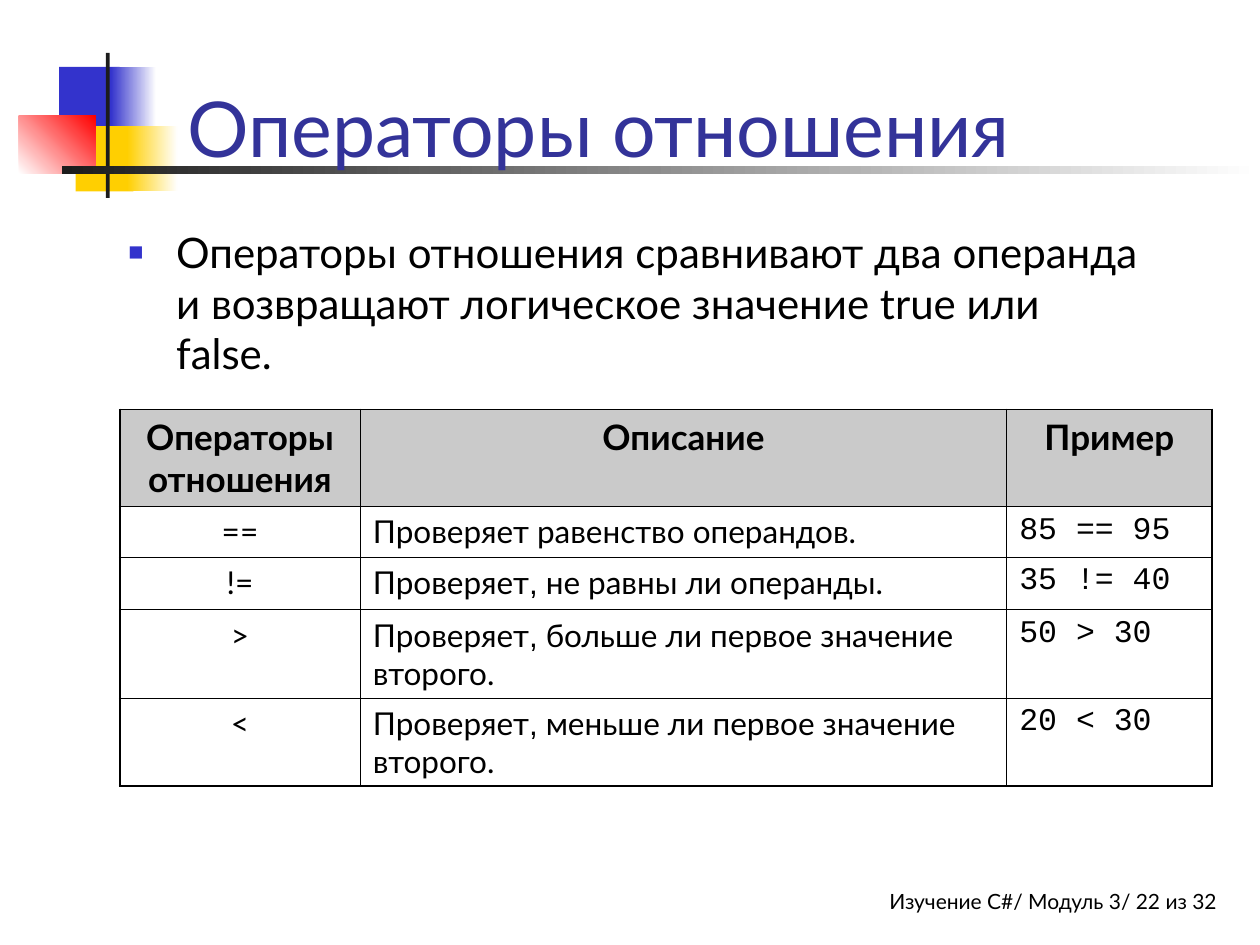
from lxml import etree
from pptx import Presentation
from pptx import util as u
from pptx.dml.color import RGBColor
from pptx.enum import shapes, text
from pptx.oxml import parse_xml
from pptx.oxml.ns import nsdecls, qn

COLORS = {
    "blue": "3333CC", "yellow": "FFCF01", "red": "FF0000", "dark": "1C1C1C",
    "white": "FFFFFF", "title": "333399", "black": "000000", "header": "969696",
}
ALIGN = text.PP_ALIGN

presentation = Presentation()
presentation.slide_width, presentation.slide_height = u.Inches(10), u.Inches(7.5)
slide = presentation.slides.add_slide(presentation.slide_layouts[6])
COLUMN = presentation.slide_width // 1000
ROW = presentation.slide_height // 750


def grid_box(left, top, width, height):
    """Turn columns and rows of the slide grid into a position and size."""
    return left * COLUMN, top * ROW, width * COLUMN, height * ROW


def add_run(paragraph, content, size, color="black", name="Lato", bold=False):
    run = paragraph.add_run()
    run.text = content
    for key, value in {"size": u.Pt(size), "name": name, "bold": bold}.items():
        setattr(run.font, key, value)
    run.font.color.rgb = RGBColor.from_string(COLORS[color])


# Decoration: box, start colour, end colour, gradient angle
decoration = [
    ((47, 53, 48, 52), "blue", "blue", 0),
    ((88, 53, 36, 52), "blue", "white", 0),
    ((60, 100, 46, 52), "yellow", "yellow", 0),
    ((101, 100, 40, 52), "yellow", "white", 0),
    ((15, 92, 61, 46), "white", "red", 45),
    ((84, 42, 3, 115), "dark", "dark", 0),
    ((49, 132, 951, 6), "dark", "white", 0),
]
for box, start, end, angle in decoration:
    shape = slide.shapes.add_shape(shapes.MSO_SHAPE.RECTANGLE, *grid_box(*box))
    shape.shadow.inherit = False
    shape.line.fill.background()
    if start == end:
        shape.fill.solid()
        shape.fill.fore_color.rgb = RGBColor.from_string(COLORS[start])
    else:
        shape.fill.gradient()
        shape.fill.gradient_angle = angle
        for stop, color in zip(shape.fill.gradient_stops, (start, end)):
            stop.color.rgb = RGBColor.from_string(COLORS[color])

# Title, body and footer: box, wording, size, colour, frame format, alignment
text_boxes = [
    ((139, 17, 852, 125), "Операторы отношения", 44, "title",
     {"vertical_anchor": text.MSO_ANCHOR.BOTTOM}, ALIGN.LEFT),
    ((92, 175, 825, 508),
     "Операторы отношения сравнивают два операнда и возвращают "
     "логическое значение true или false.", 24, "black", {}, ALIGN.LEFT),
    ((458, 700, 508, 33), "Изучение C#/ Модуль 3/ 22 из 32", 12, "black",
     {"margin_right": 0}, ALIGN.RIGHT),
]
paragraphs = []
for box, content, size, color, frame_format, alignment in text_boxes:
    frame = slide.shapes.add_textbox(*grid_box(*box)).text_frame
    for key, value in {"word_wrap": True, **frame_format}.items():
        setattr(frame, key, value)
    paragraph = frame.paragraphs[0]
    paragraph.alignment = alignment
    add_run(paragraph, content, size, color)
    paragraphs.append(paragraph)

# Square bullet with a hanging indent on the body paragraph
body_properties = paragraphs[1]._p.get_or_add_pPr()
body_properties.set("marL", str(38 * COLUMN))
body_properties.set("indent", str(-38 * COLUMN))
for bullet in (
    f'<a:buClr {nsdecls("a")}><a:srgbClr val="{COLORS["blue"]}"/></a:buClr>',
    f'<a:buSzPct {nsdecls("a")} val="60000"/>',
    f'<a:buFont {nsdecls("a")} typeface="Arial"/>',
    f'<a:buChar {nsdecls("a")} char="■"/>',
):
    body_properties.append(parse_xml(bullet))

# Table of relational operators
rows = [
    ("Операторы отношения", "Описание", "Пример"),
    ("==", "Проверяет равенство операндов.", "85 == 95"),
    ("!=", "Проверяет, не равны ли операнды.", "35 != 40"),
    (">", "Проверяет, больше ли первое значение второго.", "50 > 30"),
    ("<", "Проверяет, меньше ли первое значение второго.", "20 < 30"),
]
column_widths = [191, 513, 163]
row_heights = [77, 40, 42, 70, 70]
last_row, last_column = len(rows) - 1, len(column_widths) - 1
table = slide.shapes.add_table(
    len(rows), len(column_widths),
    *grid_box(95, 325, sum(column_widths), sum(row_heights))).table
table.horz_banding = False
for column, width in zip(table.columns, column_widths):
    column.width = width * COLUMN
for row, height in zip(table.rows, row_heights):
    row.height = height * ROW

for i, row in enumerate(rows):
    for j, content in enumerate(row):
        cell = table.cell(i, j)
        cell_properties = cell._tc.get_or_add_tcPr()
        outer_sides = {"lnL": j == 0, "lnR": j == last_column,
                       "lnT": i == 0, "lnB": i == last_row}
        for side, outer in outer_sides.items():
            width = u.Pt(1.08 if outer else 0.45)
            cell_properties.append(parse_xml(
                f'<a:{side} {nsdecls("a")} w="{width}"><a:solidFill>'
                f'<a:srgbClr val="{COLORS["black"]}"/></a:solidFill></a:{side}>'))

        paragraph = cell.text_frame.paragraphs[0]
        paragraph.alignment = ALIGN.CENTER if i == 0 or j == 0 else ALIGN.LEFT
        if i == 0:
            cell.fill.solid()
            cell.fill.fore_color.rgb = RGBColor.from_string(COLORS["header"])
            fill_color = cell_properties.find(".//" + qn("a:solidFill") + "[last()]")
            fill_color = cell_properties.findall(qn("a:solidFill"))[0][0]
            etree.SubElement(fill_color, qn("a:alpha")).set("val", "50000")
            add_run(paragraph, content, 20, bold=True)
            continue
        cell.fill.background()
        font_name = "Courier New" if j == last_column else "Lato"
        before, comma, after = content.partition(",")
        for part, name in ((before, font_name), (comma, "Arial"), (after, font_name)):
            if part:
                add_run(paragraph, part, 18, name=name)

presentation.save("out.pptx")
